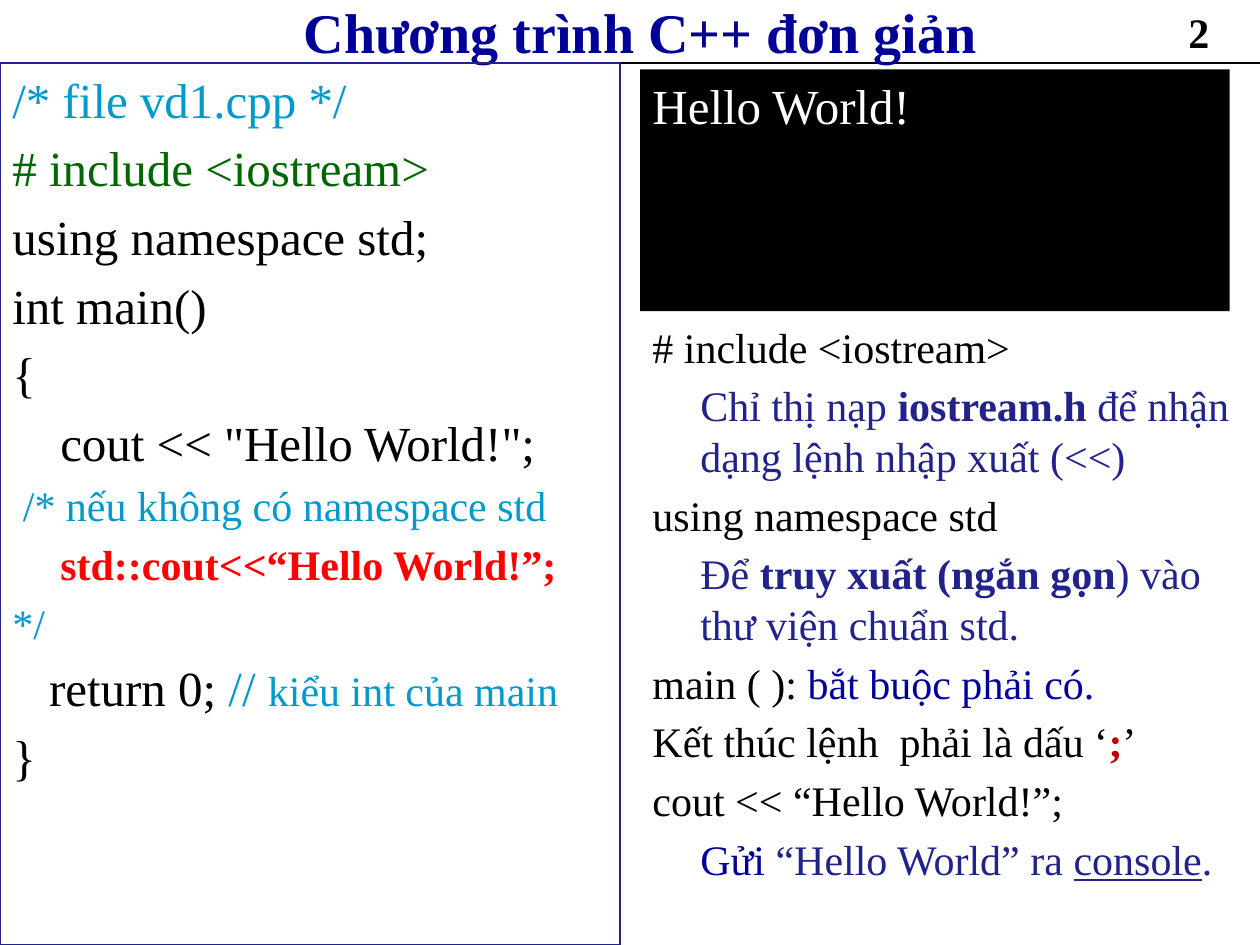
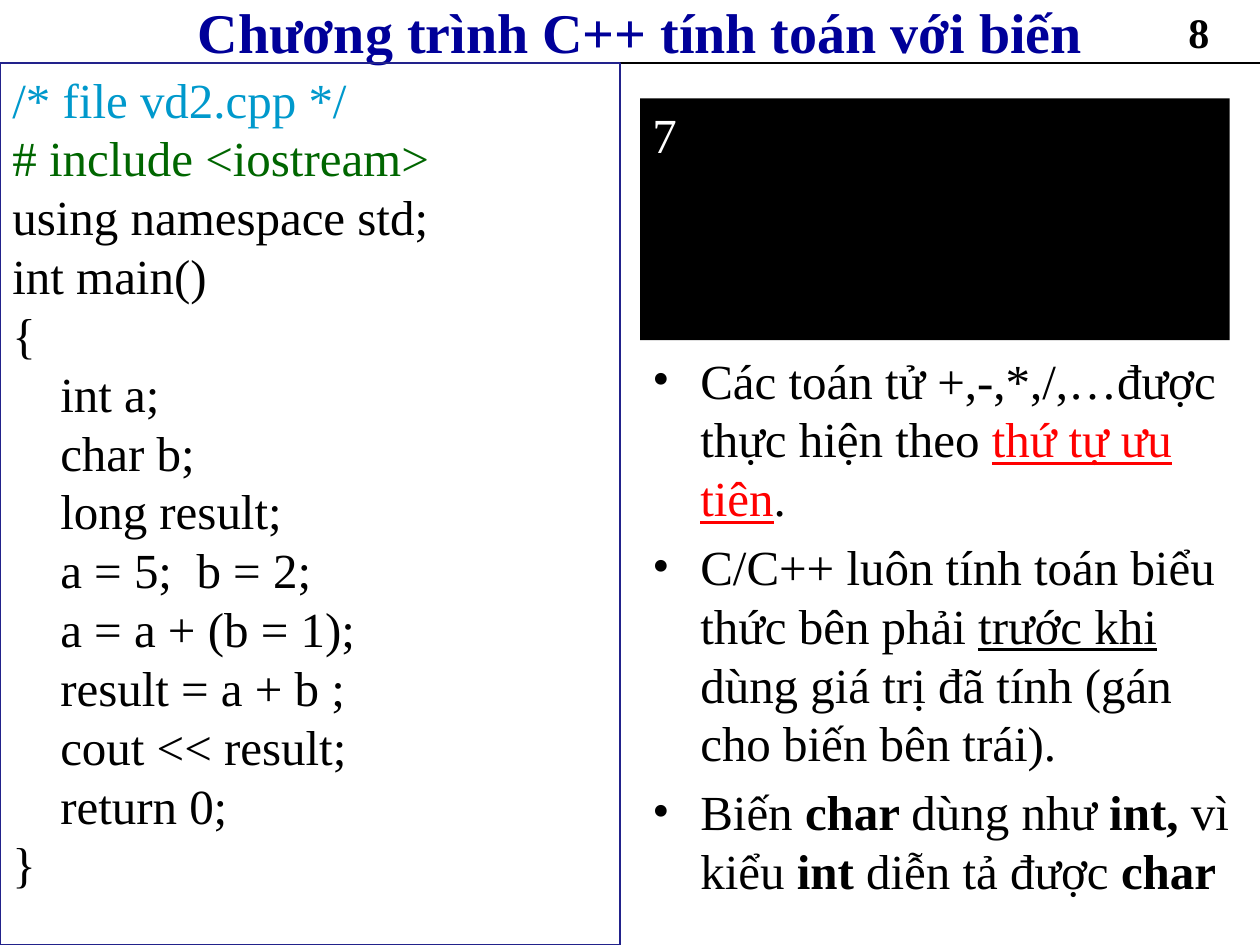
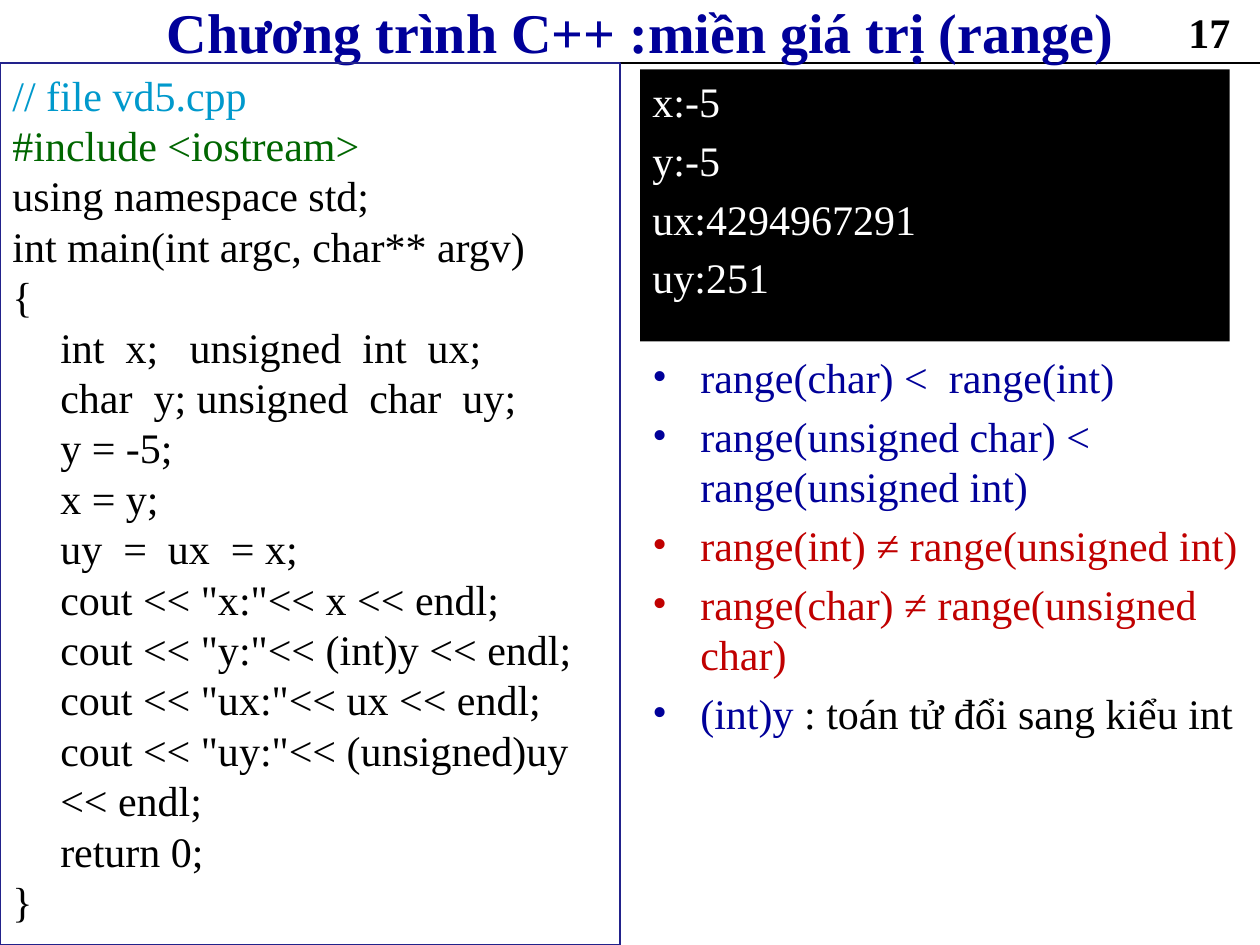
"""Build three slides on simple C++ programs: code, console output and notes."""
from typing import NamedTuple

from lxml.etree import SubElement
from pptx import Presentation
from pptx.dml.color import RGBColor
from pptx.enum.shapes import MSO_CONNECTOR, MSO_SHAPE
from pptx.enum.text import MSO_ANCHOR, MSO_AUTO_SIZE, PP_ALIGN
from pptx.oxml.ns import qn
from pptx.util import Inches, Pt

FONT = "Times New Roman"
BLACK = RGBColor(0x00, 0x00, 0x00)
WHITE = RGBColor(0xFF, 0xFF, 0xFF)
NAVY = RGBColor(0x00, 0x00, 0x99)
INDIGO = RGBColor(0x22, 0x22, 0x8B)
CYAN = RGBColor(0x00, 0x99, 0xCC)
GREEN = RGBColor(0x00, 0x66, 0x00)
RED = RGBColor(0xFF, 0x00, 0x00)
BRICK = RGBColor(0xC0, 0x00, 0x00)

WIDE, HIGH = 10, 7.5
BAND = HIGH / 15
SIDE = WIDE / 12
PAGE = WIDE / 15
GAP = 0.08
HALF = WIDE / 2 - GAP
RIGHT = WIDE / 2 + GAP
SCREEN = 4.68
INDENT = 0.38


class Run(NamedTuple):
    """A piece of text; empty fields follow the block it stands in."""
    text: str
    color: RGBColor = None
    size: int = None
    bold: bool = None
    under: bool = None


SLIDES = [
    {
        "title": "Chương trình C++ đơn giản", "page": 2,
        "code": [
            Run("/* file vd1.cpp */", CYAN),
            Run("# include <iostream>", GREEN),
            "using namespace std;",
            "int main()",
            "{",
            "\tcout << \"Hello World!\";",
            Run(" /* nếu không có namespace std", CYAN, 24),
            Run("\tstd::cout<<“Hello World!”;", RED, 24, True),
            Run("*/", CYAN, 24),
            ["   return 0; ", Run("// ", CYAN), Run("kiểu int của main", CYAN, 24)],
            "}",
        ],
        "code_size": 28, "loose": True,
        "output": ["Hello World!"], "out_size": 28, "top": 0.55, "tall": 1.92,
        "notes": [
            "# include <iostream>",
            [Run(" \tChỉ thị nạp ", INDIGO), Run("iostream.h ", INDIGO, bold=True),
             Run("để nhận dạng lệnh nhập xuất (<<)", INDIGO)],
            "using namespace std",
            [Run("\tĐể ", INDIGO), Run("truy xuất (ngắn gọn", INDIGO, bold=True),
             Run(") vào thư viện chuẩn std.", INDIGO)],
            ["main ( ): ", Run("bắt buộc phải có.", NAVY)],
            ["Kết thúc lệnh  phải là dấu ‘", Run(";", BRICK, bold=True), "’"],
            "cout << “Hello World!”;",
            [Run("\tGửi", NAVY), Run(" “Hello World” ra ", INDIGO),
             Run("console", INDIGO, under=True), Run(".", INDIGO)],
        ],
        "note_size": 24, "bullet": False,
    },
    {
        "title": "Chương trình C++ tính toán với biến", "page": 8,
        "code": [
            Run("/* file vd2.cpp */", CYAN),
            Run("# include <iostream>", GREEN),
            "using namespace std;",
            "int main()",
            "{",
            "\tint a;",
            "\tchar b;",
            "\tlong result;",
            "\ta = 5;  b = 2;",
            "\ta = a + (b = 1);",
            "\tresult = a + b ;",
            "\tcout << result;",
            "\treturn 0;",
            "}",
        ],
        "code_size": 28, "loose": False,
        "output": ["7"], "out_size": 28, "top": 0.78, "tall": 1.92,
        "notes": [
            ["Các toán tử +,-,*,/,…được thực hiện theo ",
             Run("thứ tự ưu tiên", RED, under=True), "."],
            ["C/C++ luôn tính toán biểu thức bên phải ", Run("trước khi ", under=True),
             "dùng giá trị đã tính (gán cho biến bên trái)."],
            ["Biến ", Run("char ", bold=True), "dùng như ", Run("int, ", bold=True),
             "vì kiểu ", Run("int ", bold=True), "diễn tả được ",
             Run("char", bold=True)],
        ],
        "note_size": 28, "bullet": True,
    },
    {
        "title": "Chương trình C++ :miền giá trị (range)", "page": 17,
        "code": [
            Run("// file vd5.cpp", CYAN),
            Run("#include <iostream>", GREEN),
            "using namespace std;",
            "int main(int argc, char** argv)",
            "{",
            "\tint  x;   unsigned  int  ux;",
            "\tchar  y; unsigned  char  uy;",
            "\ty = -5;",
            "\tx = y;",
            "\tuy  =  ux  = x;",
            "\tcout << \"x:\"<< x << endl;",
            "\tcout << \"y:\"<< (int)y << endl;",
            "\tcout << \"ux:\"<< ux << endl;",
            "\tcout << \"uy:\"<< (unsigned)uy << endl;",
            "\treturn 0;",
            "}",
        ],
        "code_size": 24, "loose": False,
        "output": ["x:-5", "y:-5", "ux:4294967291", "uy:251"],
        "out_size": 24, "top": 0.55, "tall": 2.16,
        "notes": [
            Run("range(char) <  range(int)", NAVY),
            Run("range(unsigned char) <  range(unsigned int)", NAVY),
            Run("range(int) ≠ range(unsigned int)", BRICK),
            Run("range(char) ≠ range(unsigned char)", BRICK),
            [Run("(int)y ", NAVY), ": toán tử đổi sang kiểu int"],
        ],
        "note_size": 24, "bullet": True,
    },
]


def style(font, run):
    """Set on a font the fields that the run gives."""
    if run.color is not None:
        font.color.rgb = run.color
    if run.size:
        font.size = Pt(run.size)
    if run.bold:
        font.bold = True
    if run.under:
        font.underline = True


def hang(para, bullet):
    """Give a paragraph its hanging indent and, if asked, a bullet."""
    props = para._p.get_or_add_pPr()
    props.set("marL", str(Inches(INDENT)))
    props.set("indent", str(-Inches(INDENT)))
    if bullet:
        SubElement(props, qn("a:buFont")).set("typeface", FONT)
        SubElement(props, qn("a:buChar")).set("char", "•")


def write(shape, lines, size, color=BLACK, bold=False, loose=True,
          bullet=False, indent=True):
    """Fill a shape with one paragraph per line."""
    frame = shape.text_frame
    frame.word_wrap = True
    frame.auto_size = MSO_AUTO_SIZE.NONE
    frame.vertical_anchor = MSO_ANCHOR.TOP
    for row, line in enumerate(lines):
        para = frame.paragraphs[0] if row == 0 else frame.add_paragraph()
        para.alignment = PP_ALIGN.LEFT
        parts = line if isinstance(line, list) else [line]
        runs = [Run(part) if isinstance(part, str) else part for part in parts]
        base = Run("", color, size, bold)
        if len(runs) == 1:
            base = Run("", runs[0].color or color, runs[0].size or size,
                       runs[0].bold or bold)
        if loose and row:
            para.space_before = Pt(0.2 * base.size)
        if indent:
            hang(para, bullet)
        para.font.name = FONT
        style(para.font, base)
        for run in runs:
            piece = para.add_run()
            piece.text = run.text
            if len(runs) > 1:
                style(piece.font, run)
    return frame


def area(left, top, width, height):
    """Turn lengths in inches into a place on the slide."""
    return [Inches(part) for part in (left, top, width, height)]


def panel(slide, place, fill=None, line=None):
    """Add a plain rectangle."""
    box = slide.shapes.add_shape(MSO_SHAPE.RECTANGLE, *area(*place))
    box.shadow.inherit = False
    if fill is None:
        box.fill.background()
    else:
        box.fill.solid()
        box.fill.fore_color.rgb = fill
    if line is None:
        box.line.fill.background()
    else:
        box.line.color.rgb = line
        box.line.width = Pt(0.75)
    return box


def head(slide, title, page):
    """Add the rule, the title and the page number."""
    rule = slide.shapes.add_connector(
        MSO_CONNECTOR.STRAIGHT, 0, Inches(BAND), Inches(WIDE), Inches(BAND))
    rule.line.color.rgb = BLACK
    rule.line.width = Pt(0.75)
    SubElement(rule._element.spPr, qn("a:effectLst"))
    box = slide.shapes.add_textbox(*area(SIDE, 0, WIDE - SIDE - PAGE, BAND))
    frame = write(box, [title], 32, NAVY, bold=True, indent=False)
    frame.vertical_anchor = MSO_ANCHOR.MIDDLE
    frame.paragraphs[0].alignment = PP_ALIGN.CENTER
    box = slide.shapes.add_textbox(*area(WIDE - PAGE, 0, PAGE, BAND))
    write(box, [str(page)], 24, bold=True, indent=False)


def build(deck, data):
    """Add one slide with its code, console and notes."""
    slide = deck.slides.add_slide(deck.slide_layouts[6])
    head(slide, data["title"], data["page"])
    code = panel(slide, (0, BAND, HALF, HIGH - BAND), line=INDIGO)
    write(code, data["code"], data["code_size"], loose=data["loose"])
    screen = panel(slide, (RIGHT, data["top"], SCREEN, data["tall"]), fill=BLACK)
    write(screen, data["output"], data["out_size"], WHITE)
    top = data["top"] + data["tall"] + 0.03
    notes = slide.shapes.add_textbox(*area(RIGHT, top, HALF, HIGH - top))
    write(notes, data["notes"], data["note_size"], bullet=data["bullet"])


def main():
    """Build and save the deck."""
    deck = Presentation()
    deck.slide_width, deck.slide_height = Inches(WIDE), Inches(HIGH)
    for data in SLIDES:
        build(deck, data)
    deck.save("out.pptx")


if __name__ == "__main__":
    main()
